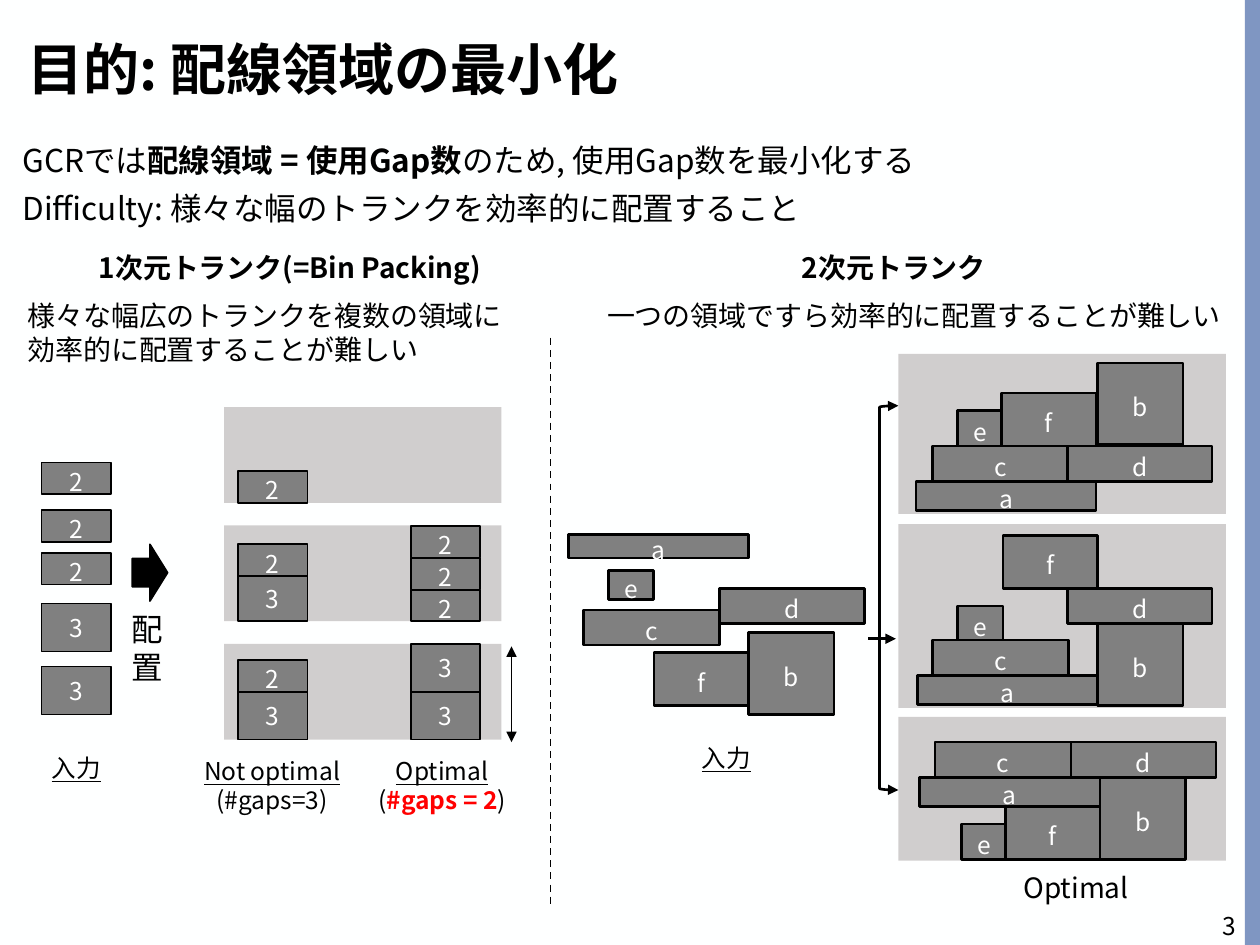
import pptx
import pptx.util
import pptx.dml.color
import pptx.enum.dml
import pptx.enum.shapes
import pptx.enum.text
import pptx.oxml.ns
from lxml import etree

RGB = pptx.dml.color.RGBColor
BLACK, WHITE, RED = RGB(0, 0, 0), RGB(255, 255, 255), RGB(255, 0, 0)
PAPER, BAR = RGB(0xFE, 0xFF, 0xFF), RGB(0x7F, 0x96, 0xC2)
BLOCK, REGION = RGB(0x80, 0x80, 0x80), RGB(0xD0, 0xCE, 0xCE)
FONT = "Noto Sans CJK JP"

SHAPE = pptx.enum.shapes.MSO_SHAPE
ALIGN = pptx.enum.text.PP_ALIGN
ANCHOR = pptx.enum.text.MSO_ANCHOR
FIT = pptx.enum.text.MSO_AUTO_SIZE
qn = pptx.oxml.ns.qn

# The slide is a grid of 100 columns and 75 rows
WIDTH, HEIGHT = pptx.util.Inches(10), pptx.util.Inches(7.5)
COL, ROW = WIDTH / 100, HEIGHT / 75

# Trunk sizes in columns and rows
TRUNKS = {"a": (14.3, 2.3), "b": (6.8, 6.5), "c": (10.8, 2.8),
          "d": (11.5, 2.8), "e": (3.6, 2.8), "f": (7.5, 4.2)}
HEIGHTS = {"2": 2.5, "3": 3.8}


def cells(x, y, w, h):
    return [int(x * COL), int(y * ROW), int(w * COL), int(h * ROW)]


def apply(obj, values):
    for name, value in values.items():
        setattr(obj, name, value)


def write(tf, paragraphs, size, color=BLACK, align=ALIGN.LEFT, **para):
    """Each paragraph is a list of (text, font overrides) runs."""
    for i, runs in enumerate(paragraphs):
        p = tf.paragraphs[0] if i == 0 else tf.add_paragraph()
        apply(p, {"alignment": align, **para})
        if i == 0:
            p.space_before = pptx.util.Pt(0)
        for text, extra in runs:
            r = p.add_run()
            r.text = text
            values = {"size": pptx.util.Pt(size), "name": FONT, "bold": False, **extra}
            r.font.color.rgb = values.pop("color", color)
            apply(r.font, values)
            latin = r._r.rPr.find(qn("a:latin"))
            ea = etree.Element(qn("a:ea"), typeface=FONT)
            latin.addnext(ea)


def add_label(s, box, paragraphs, size, align=ALIGN.CENTER, wrap=True,
              fit=FIT.SHAPE_TO_FIT_TEXT, anchor=ANCHOR.TOP):
    tf = s.shapes.add_textbox(*cells(*box)).text_frame
    apply(tf, {"word_wrap": wrap, "auto_size": fit, "vertical_anchor": anchor})
    write(tf, paragraphs, size, align=align)


def add_filled(s, kind, box, fill, line=0):
    sp = s.shapes.add_shape(kind, *cells(*box))
    sp.shadow.inherit = False
    if fill is None:
        sp.fill.background()
    else:
        sp.fill.solid()
        sp.fill.fore_color.rgb = fill
    if line:
        sp.line.color.rgb = BLACK
        sp.line.width = pptx.util.Pt(line)
    else:
        sp.line.fill.background()
    return sp


def add_block(s, text, box, line, low=True):
    sp = add_filled(s, SHAPE.RECTANGLE, box, BLOCK, line)
    tf = sp.text_frame
    tf.vertical_anchor = ANCHOR.MIDDLE
    if low:
        tf.margin_bottom = 0
    write(tf, [[(text, {})]], 14, WHITE, ALIGN.CENTER)


def add_stack(s, x, blocks):
    for text, y, *h in blocks:
        add_block(s, text, (x, y, 5.5, h[0] if h else HEIGHTS[text]), 1, text == "2")


def add_trunks(s, places, sizes=TRUNKS):
    for name, (x, y) in places.items():
        add_block(s, name, (x, y, *sizes[name]), 1.5)


def add_arrowheads(sp, *ends):
    ln = sp.line._get_or_add_ln()
    for end in ends:
        etree.SubElement(ln, qn("a:" + end), type="triangle")


def add_line(s, start, end, width, heads=(), dash=None):
    x1, y1, x2, y2 = cells(*start, *end)
    c = s.shapes.add_connector(pptx.enum.shapes.MSO_CONNECTOR.STRAIGHT, x1, y1, x2, y2)
    c.line.color.rgb = BLACK
    c.line.width = pptx.util.Pt(width)
    if dash:
        c.line.dash_style = dash
    add_arrowheads(c, *heads)
    etree.SubElement(c._element.spPr, qn("a:effectLst"))


def place(sp, box):
    apply(sp, dict(zip(("left", "top", "width", "height"), cells(*box))))


def add_heading(s):
    title, body = s.shapes.title, s.placeholders[1]
    place(title, (1.2, 2.9, 73.8, 5.7))
    apply(title.text_frame, {"vertical_anchor": ANCHOR.MIDDLE, "auto_size": FIT.NONE})
    write(title.text_frame, [[("目的: 配線領域の最小化", {"bold": True})]], 32, line_spacing=0.9)

    place(body, (0.8, 10.7, 99.2, 10.6))
    body.text_frame.auto_size = FIT.NONE
    write(body.text_frame, [
        [("GCRでは", {}), ("配線領域 = 使用Gap数", {"bold": True}),
         ("のため, 使用Gap数を最小化する", {})],
        [("Difficulty: 様々な幅のトランクを効率的に配置すること", {})],
    ], 18, space_before=pptx.util.Pt(6))
    for p in body.text_frame.paragraphs:
        pPr = p._p.get_or_add_pPr()
        pPr.set("marL", "0")
        pPr.set("indent", "0")
        etree.SubElement(pPr, qn("a:buNone"))


def add_one_dimension(s):
    under = {"underline": True}
    add_label(s, (2.7, 19.4, 40.6, 3.7), [[("1次元トランク(=Bin Packing)", {"bold": True})]], 16)
    add_label(s, (1.2, 23.2, 41.2, 6.4),
              [[("様々な幅広のトランクを複数の領域に効率的に配置することが難しい", {})]],
              16, ALIGN.LEFT)

    # Three bins, open at the top
    for i in range(3):
        sp = add_filled(s, SHAPE.LEFT_BRACKET, (25, 25.1 + 9.4 * i, 7.6, 22), REGION)
        sp.rotation = 270
        sp.adjustments[0] = 0

    # Input, first packing, best packing
    add_stack(s, 3.3, [("2", 36.7), ("2", 40.5), ("2", 43.9), ("3", 47.9), ("3", 52.9)])
    add_stack(s, 18.9, [("2", 37.4), ("2", 43.2), ("3", 45.7, 3.6), ("2", 52.4), ("3", 54.9)])
    add_stack(s, 32.6, [("2", 41.75), ("2", 44.3), ("2", 46.8), ("3", 51.1), ("3", 54.9)])

    add_filled(s, SHAPE.RIGHT_ARROW, (10.5, 43.2, 2.8, 4.5), BLACK, 1)
    add_label(s, (9.3, 47.9, 4.8, 7.1), [[("配置", {})]], 18)
    add_line(s, (40.6, 51.3), (40.6, 58.9), 0.5, ("headEnd", "tailEnd"))

    add_label(s, (3.1, 59.3, 5.9, 3.4), [[("入力", under)]], 14, wrap=False)
    add_label(s, (14.9, 59.5, 13.4, 5.7),
              [[("Not optimal", under)], [("(#gaps=3)", {})]], 14, wrap=False)
    add_label(s, (27.8, 59.5, 14.6, 5.7),
              [[("Optimal", under)],
               [("(", {}), ("#gaps = 2", {"color": RED, "bold": True}), (")", {})]],
              14, wrap=False)


def add_two_dimensions(s):
    add_label(s, (44.8, 19.4, 52.3, 3.7), [[("2次元トランク", {"bold": True})]], 16)
    add_label(s, (47.2, 23.2, 51.6, 3.7),
              [[("一つの領域ですら効率的に配置することが難しい", {})]], 16, ALIGN.LEFT)

    # Input trunks
    add_trunks(s, {"a": (45.1, 42.4), "b": (59.4, 50.2), "f": (51.9, 51.8),
                   "c": (46.3, 48.4), "d": (57.1, 46.7), "e": (48.3, 45.3)},
               {**TRUNKS, "a": (14.3, 1.9), "e": (3.6, 2.3)})
    add_label(s, (54.7, 58.5, 5.9, 3.4), [[("入力", {"underline": True})]], 14, wrap=False)

    # Three packings, each in its region
    packings = [
        (28.1, 12.7, {"a": (72.7, 38.2), "b": (87.1, 28.8), "e": (76, 32.6),
                      "f": (79.5, 31.2), "c": (74, 35.4), "d": (84.7, 35.4)}),
        (41.6, 14.6, {"a": (72.8, 53.6), "b": (87.1, 49.5), "e": (76, 48.1),
                      "f": (79.6, 42.5), "c": (74, 50.8), "d": (84.7, 46.7)}),
        (56.9, 11.4, {"a": (73, 61.7), "b": (87.3, 61.7), "e": (76.3, 65.4),
                      "f": (79.8, 64), "c": (74.2, 58.9), "d": (85, 58.9)}),
    ]
    for top, height, places in packings:
        add_filled(s, SHAPE.RECTANGLE, (71.3, top, 26, height), REGION)
        add_trunks(s, places)
    add_label(s, (78.6, 68.6, 13.6, 3.7), [[("Optimal", {})]], 16)

    # Branching arrows
    add_line(s, (68.9, 50.7), (71.1, 50.7), 1.5, ("tailEnd",))
    branch = add_filled(s, SHAPE.LEFT_BRACKET, (69.8, 32.2, 1.5, 30.5), None, 1.5)
    add_arrowheads(branch, "headEnd", "tailEnd")


def main():
    prs = pptx.Presentation()
    prs.slide_width, prs.slide_height = WIDTH, HEIGHT
    s = prs.slides.add_slide(prs.slide_layouts[1])
    s.background.fill.solid()
    s.background.fill.fore_color.rgb = PAPER

    add_filled(s, SHAPE.RECTANGLE, (98.8, 0, 1.2, 75), BAR)
    add_heading(s)
    add_one_dimension(s)
    add_line(s, (43.7, 26.8), (43.7, 71.8), 1, dash=pptx.enum.dml.MSO_LINE.DASH)
    add_two_dimensions(s)
    add_label(s, (94.2, 71.5, 4.9, 4), [[("3", {})]], 14, ALIGN.RIGHT,
              fit=FIT.NONE, anchor=ANCHOR.MIDDLE)
    prs.save("out.pptx")


if __name__ == "__main__":
    main()
